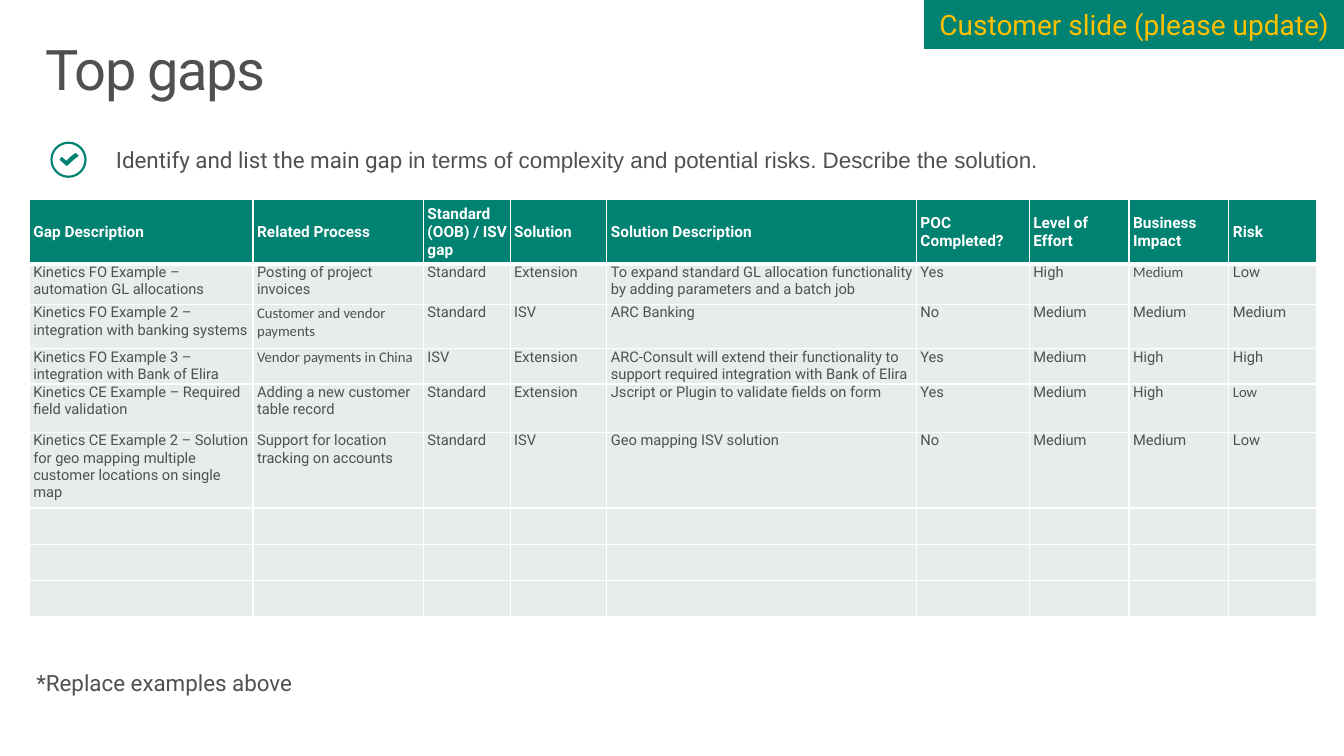
from lxml import etree
from pptx import Presentation
from pptx import util as u
from pptx.dml.color import RGBColor
from pptx.enum import shapes, text
from pptx.oxml import ns

TEAL = RGBColor(0x00, 0x82, 0x72)
GREY = RGBColor(0x50, 0x50, 0x50)
PALE = RGBColor(0xE7, 0xED, 0xEB)
GOLD = RGBColor(0xFF, 0xC0, 0x00)
WHITE = RGBColor(0xFF, 0xFF, 0xFF)

SLIDE_W, SLIDE_H = 13.33, 7.5
MARGIN = 0.29
CONTENT_W = SLIDE_W - 2 * MARGIN

# Table grid, in inches
COLUMN_WIDTHS = [2.22, 1.69, 0.86, 0.96, 3.07, 1.12, 0.99, 0.99, 0.87]
ROW_HEIGHTS = [0.64, 0.4, 0.44, 0.34, 0.48, 0.75, 0.36, 0.36, 0.36]
HEADINGS = ["Gap Description", "Related Process", "Standard (OOB) / ISV gap",
            "Solution", "Solution Description", "POC Completed?",
            "Level of Effort", "Business Impact", "Risk"]
GAPS = [
    ["Kinetics FO Example – automation GL allocations",
     "Posting of project invoices", "Standard", "Extension",
     "To expand standard GL allocation functionality by adding parameters and a batch job",
     "Yes", "High", "Medium", "Low"],
    ["Kinetics FO Example 2 – integration with banking systems",
     "Customer and vendor payments", "Standard", "ISV", "ARC Banking",
     "No", "Medium", "Medium", "Medium"],
    ["Kinetics FO Example 3 – integration with Bank of Elira",
     "Vendor payments in China", "ISV", "Extension",
     "ARC-Consult will extend their functionality to support required integration with Bank of Elira",
     "Yes", "Medium", "High", "High"],
    ["Kinetics CE Example – Required field validation",
     "Adding a new customer table record", "Standard", "Extension",
     "Jscript or Plugin to validate fields on form",
     "Yes", "Medium", "High", "Low"],
    ["Kinetics CE Example 2 – Solution for geo mapping multiple customer locations on single map",
     "Support for location tracking on accounts", "Standard", "ISV",
     "Geo mapping ISV solution", "No", "Medium", "Medium", "Low"],
]
CALIBRI_CELLS = {(1, 7), (2, 1), (3, 1), (4, 8)}


def inches(*lengths):
    return [u.Inches(length) for length in lengths]


def add_run(paragraph, words, size, color, font="Roboto", bold=False):
    run = paragraph.add_run()
    run.text = words
    run.font.size = u.Pt(size)
    run.font.name = font
    run.font.bold = bold
    run.font.color.rgb = color
    return run


def set_frame(frame, insets, anchor=text.MSO_ANCHOR.TOP):
    frame.word_wrap = True
    frame.vertical_anchor = anchor
    (frame.margin_left, frame.margin_top,
     frame.margin_right, frame.margin_bottom) = inches(*insets)
    return frame.paragraphs[0]


def paint(shape, color):
    shape.shadow.inherit = False
    shape.fill.solid()
    shape.fill.fore_color.rgb = color
    shape.line.fill.background()


def place_title(slide, left, top, width, height):
    title = slide.shapes.title
    title.left, title.top, title.width, title.height = inches(left, top, width, height)
    paragraph = set_frame(title.text_frame, (0.16, 0.1, 0.16, 0.1))
    title.text_frame.auto_size = text.MSO_AUTO_SIZE.NONE
    paragraph.alignment = text.PP_ALIGN.LEFT
    paragraph.line_spacing = 0.9
    run = add_run(paragraph, "Top gaps", 40, GREY)
    run.font._element.set("spc", "-100")


def add_check_icon(slide, left, top, size):
    # Ring
    ring = slide.shapes.add_shape(shapes.MSO_SHAPE.DONUT, *inches(left, top, size, size))
    ring.adjustments[0] = 0.06
    paint(ring, TEAL)
    # Check mark, in hundredths of the ring's size
    outline = [(69, 31), (56, 41), (44, 53), (31, 42), (25, 50),
               (42, 65), (45, 67), (49, 64), (63, 51), (78, 39)]
    builder = slide.shapes.build_freeform(*outline[0], scale=u.Inches(size / 100))
    builder.add_line_segments(outline[1:], close=True)
    paint(builder.convert_to_shape(*inches(left, top)), TEAL)


def add_instruction(slide, left, top, width, height):
    box = slide.shapes.add_textbox(*inches(left, top, width, height))
    paragraph = set_frame(box.text_frame, (0.6, 0.05, 0.1, 0.05), text.MSO_ANCHOR.MIDDLE)
    add_run(paragraph, "Identify and list the main gap ", 16, GREY)
    add_run(paragraph, "in terms of complexity and potential risks. Describe the solution.",
            16, GREY, "Arial")
    icon = 0.36
    add_check_icon(slide, left - 0.05, top + (height - icon) / 2, icon)


def add_banner(slide, width, height):
    banner = slide.shapes.add_shape(shapes.MSO_SHAPE.RECTANGLE,
                                    *inches(SLIDE_W - width, 0, width, height))
    paint(banner, TEAL)
    banner.line.color.rgb = TEAL
    banner.line.width = u.Pt(0.25)
    paragraph = set_frame(banner.text_frame, (0.1, 0.05, 0.1, 0.05), text.MSO_ANCHOR.MIDDLE)
    paragraph.alignment = text.PP_ALIGN.CENTER
    add_run(paragraph, "Customer slide (please update)", 20, GOLD)


def set_borders(cell, widths):
    properties = cell._tc.get_or_add_tcPr()
    for side, points in widths.items():
        line = etree.SubElement(properties, ns.qn("a:ln" + side), w=str(u.Pt(points)))
        fill = etree.SubElement(line, ns.qn("a:solidFill"))
        etree.SubElement(fill, ns.qn("a:srgbClr"), val=str(WHITE))


def format_cell(cell, row, column, words):
    header = row == 0
    set_borders(cell, {"L": 1, "R": 1, "T": 1, "B": 3} if header
                else {"L": 1, "R": 1, "B": 1})
    cell.fill.solid()
    cell.fill.fore_color.rgb = TEAL if header else PALE
    cell.margin_left = cell.margin_right = cell.margin_top = cell.margin_bottom = 0
    cell.vertical_anchor = text.MSO_ANCHOR.MIDDLE if header else text.MSO_ANCHOR.TOP
    if not words:
        return
    paragraph = cell.text_frame.paragraphs[0]
    paragraph._p.get_or_add_pPr().set("marL", str(u.Inches(0.04)))
    font = "Calibri" if (row, column) in CALIBRI_CELLS else "Roboto"
    add_run(paragraph, words, 11 if header else 10.5,
            WHITE if header else GREY, font, header)


def add_gap_table(slide, left, top, width):
    table = slide.shapes.add_table(len(ROW_HEIGHTS), len(COLUMN_WIDTHS),
                                   *inches(left, top, width, sum(ROW_HEIGHTS))).table
    table.horz_banding = False
    for column, column_width in zip(table.columns, COLUMN_WIDTHS):
        column.width = u.Inches(column_width)
    for row, row_height in zip(table.rows, ROW_HEIGHTS):
        row.height = u.Inches(row_height)
    filled = [HEADINGS] + GAPS
    blank = [[""] * len(HEADINGS)] * (len(ROW_HEIGHTS) - len(filled))
    for r, entries in enumerate(filled + blank):
        for c, words in enumerate(entries):
            format_cell(table.cell(r, c), r, c, words)


def add_footnote(slide, left, top, width, height):
    box = slide.shapes.add_textbox(*inches(left, top, width, height))
    paragraph = set_frame(box.text_frame, (0.2, 0.16, 0.2, 0.16))
    paragraph.line_spacing = 0.9
    paragraph.space_after = u.Pt(6)
    add_run(paragraph, "*Replace examples above", 16, GREY)


def main():
    deck = Presentation()
    deck.slide_width, deck.slide_height = inches(SLIDE_W, SLIDE_H)
    slide = deck.slides.add_slide(deck.slide_layouts[5])
    place_title(slide, MARGIN, 0.32, CONTENT_W, 0.98)
    add_instruction(slide, 0.55, 1.3, 12.28, 0.57)
    add_banner(slide, 4.16, 0.48)
    add_gap_table(slide, MARGIN, 1.98, CONTENT_W)
    add_footnote(slide, 0.16, 6.55, 4.68, 0.57)
    deck.save("out.pptx")


if __name__ == "__main__":
    main()
